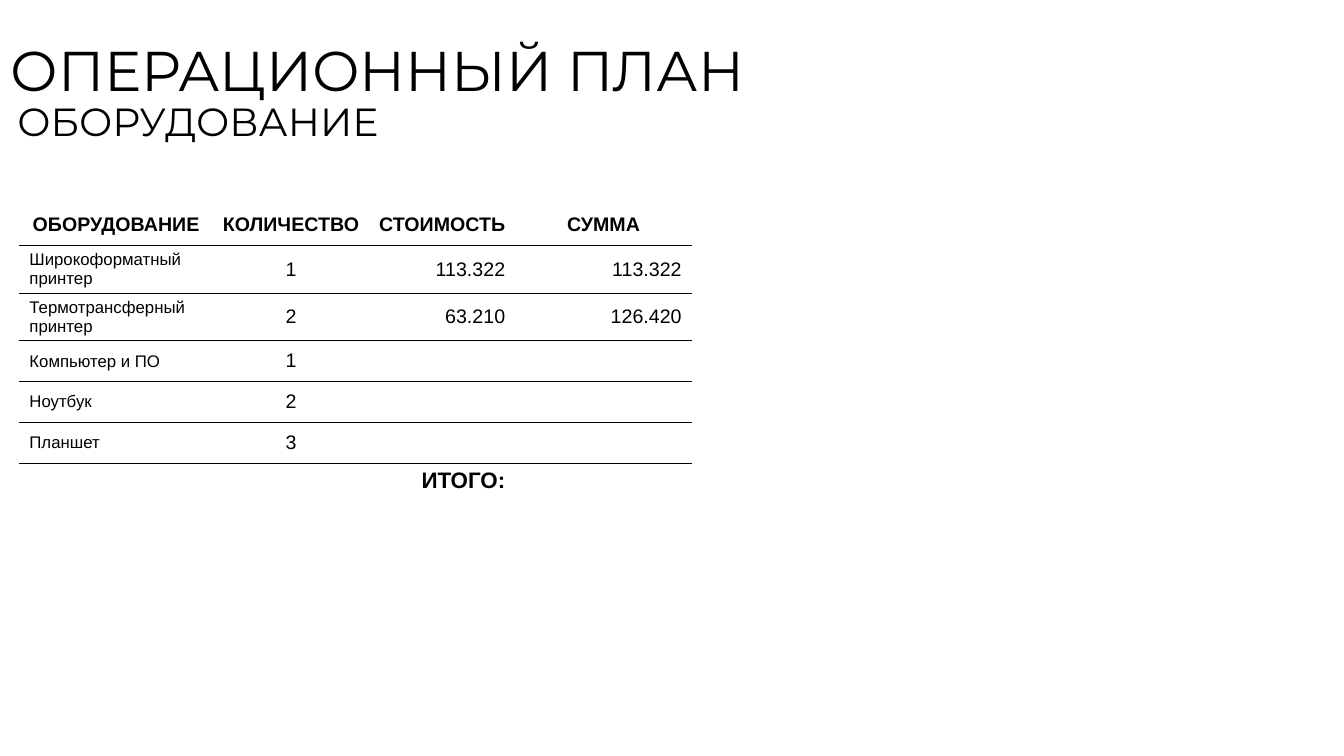
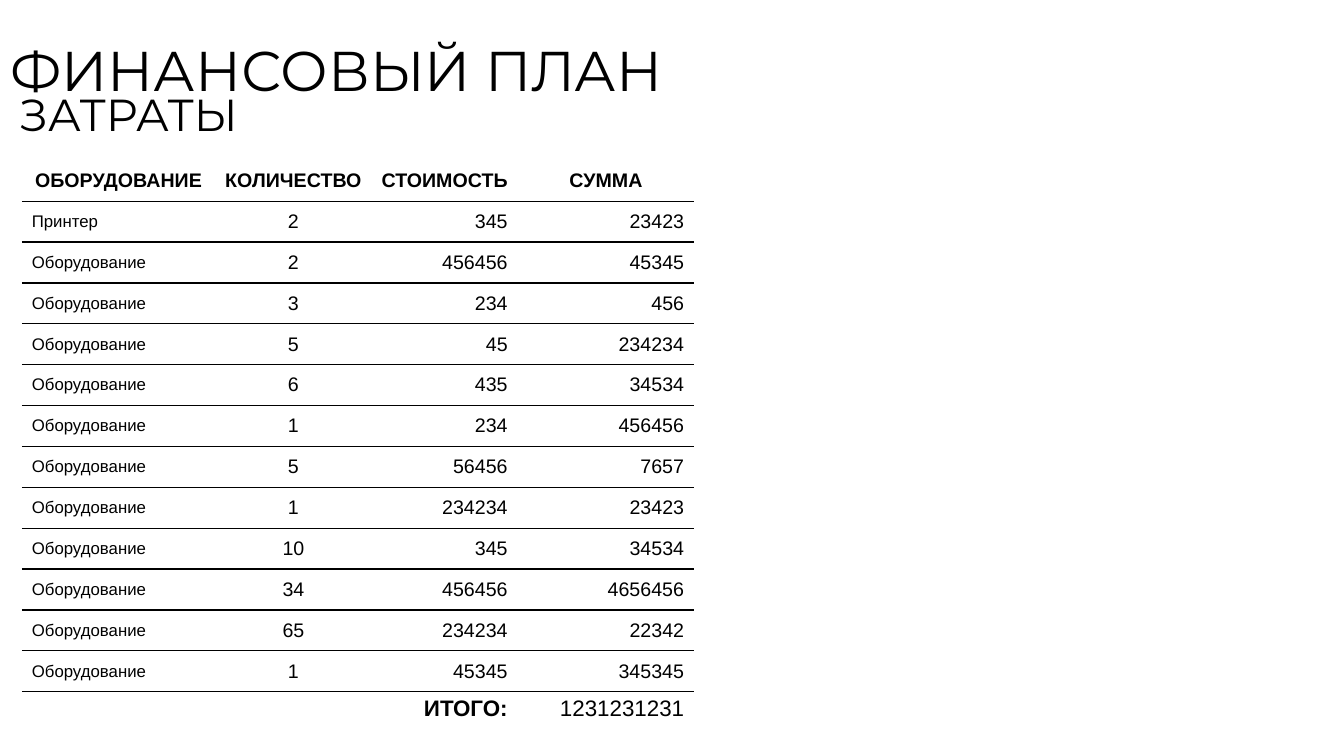
import lxml.etree
import pptx
import pptx.dml.color
import pptx.enum.text
import pptx.oxml.ns
import pptx.util

ALIGN = pptx.enum.text.PP_ALIGN
ANCHOR = pptx.enum.text.MSO_ANCHOR
NO_STYLE = "{2D5ABB26-0587-4C30-8999-92F81FD0307C}"

# Content
HEADERS = ["ОБОРУДОВАНИЕ", "КОЛИЧЕСТВО", "СТОИМОСТЬ", "СУММА"]
EQUIPMENT = [
    ["Широкоформатный принтер", "1", "113.322", "113.322"],
    ["Термотрансферный принтер", "2", "63.210", "126.420"],
    ["Компьютер и ПО", "1", "", ""],
    ["Ноутбук", "2", "", ""],
    ["Планшет", "3", "", ""],
]
COSTS = [["Принтер", "2", "345", "23423"]] + [
    ["Оборудование", *numbers.split()]
    for numbers in (
        "2 456456 45345", "3 234 456", "5 45 234234", "6 435 34534",
        "1 234 456456", "5 56456 7657", "1 234234 23423", "10 345 34534",
        "34 456456 4656456", "65 234234 22342", "1 45345 345345",
    )
]


def color(value):
    return pptx.dml.color.RGBColor.from_string(value)


class Deck:
    """Style and current slide; lengths are percent of the slide's size."""

    INK = "000000"
    PAPER = "FFFFFF"
    TITLE_FONT = "Montserrat"
    TABLE_FONT = "Arial"
    COLUMN_WIDTHS = [14.4, 11.63, 10.88, 13.13]
    ROW_HEIGHT = 5.41
    HEADER_SIDE_MARGIN = 0.38
    BODY_EDGE_MARGIN = 0.48
    COLUMN_ALIGN = [ALIGN.LEFT, ALIGN.CENTER, ALIGN.RIGHT, ALIGN.RIGHT]
    COLUMN_SIZES = [12, 14, 14, 14]

    def __init__(self):
        self.presentation = pptx.Presentation()
        self.presentation.slide_width = pptx.util.Inches(40 / 3)
        self.presentation.slide_height = pptx.util.Inches(7.5)
        self.slide = None

    def x(self, percent):
        return round(self.presentation.slide_width * percent / 100)

    def y(self, percent):
        return round(self.presentation.slide_height * percent / 100)

    def new_slide(self, title):
        self.slide = self.presentation.slides.add_slide(
            self.presentation.slide_layouts[6])
        background = self.slide.background.fill
        background.solid()
        background.fore_color.rgb = color(self.PAPER)
        self.heading(title, 0.04, 4.27, 99.96, 10.8, 40)

    def format(self, paragraph, font, size, bold=False, align=ALIGN.LEFT):
        paragraph.alignment = align
        for run in paragraph.runs:
            run.font.name = font
            run.font.size = pptx.util.Pt(size)
            run.font.bold = bold
            run.font.color.rgb = color(self.INK)

    def heading(self, text, left, top, width, height, size):
        box = self.slide.shapes.add_textbox(
            self.x(left), self.y(top), self.x(width), self.y(height))
        frame = box.text_frame
        frame.word_wrap = True
        frame.vertical_anchor = ANCHOR.MIDDLE
        frame.text = text
        frame.paragraphs[0].line_spacing = 0.9
        self.format(frame.paragraphs[0], self.TITLE_FONT, size)

    def bottom_border(self, cell):
        line = lxml.etree.Element(
            pptx.oxml.ns.qn("a:lnB"), w=str(pptx.util.Pt(1)))
        fill = lxml.etree.SubElement(line, pptx.oxml.ns.qn("a:solidFill"))
        lxml.etree.SubElement(
            fill, pptx.oxml.ns.qn("a:srgbClr"), val=self.INK)
        cell._tc.get_or_add_tcPr().insert(0, line)

    def table(self, items, total, left, top):
        rows = [HEADERS, *items, ["", "", "ИТОГО:", total]]
        last = len(rows) - 1
        frame = self.slide.shapes.add_table(
            len(rows), len(HEADERS), self.x(left), self.y(top),
            self.x(sum(self.COLUMN_WIDTHS)),
            self.y(self.ROW_HEIGHT * len(rows)))
        table = frame.table
        table.first_row = table.horz_banding = False
        style = next(table._tbl.iter(pptx.oxml.ns.qn("a:tableStyleId")))
        style.text = NO_STYLE
        for column, width in zip(table.columns, self.COLUMN_WIDTHS):
            column.width = self.x(width)
        for row_index, values in enumerate(rows):
            table.rows[row_index].height = self.y(self.ROW_HEIGHT)
            for column_index, value in enumerate(values):
                cell = table.cell(row_index, column_index)
                size = self.COLUMN_SIZES[column_index]
                align = self.COLUMN_ALIGN[column_index]
                bold = False
                if row_index == 0:
                    size, align, bold = 14, ALIGN.CENTER, True
                    cell.margin_left = cell.margin_right = self.x(
                        self.HEADER_SIDE_MARGIN)
                elif row_index == last:
                    size, bold = 16, column_index == 2
                else:
                    cell.margin_top = cell.margin_bottom = self.y(
                        self.BODY_EDGE_MARGIN)
                cell.text_frame.text = value
                cell.vertical_anchor = (
                    ANCHOR.TOP if row_index == last else ANCHOR.MIDDLE)
                self.format(cell.text_frame.paragraphs[0],
                            self.TABLE_FONT, size, bold, align)
                cell.fill.background()
                if row_index < last:
                    self.bottom_border(cell)


def main():
    deck = Deck()

    # Operating plan: equipment
    deck.new_slide("ОПЕРАЦИОННЫЙ ПЛАН")
    deck.heading("ОБОРУДОВАНИЕ", 0.56, 11.87, 99.3, 9.07, 28)
    deck.table(EQUIPMENT, "", 1.44, 27.07)

    # Financial plan: costs
    deck.new_slide("ФИНАНСОВЫЙ ПЛАН")
    deck.heading("ЗАТРАТЫ", 0.7, 11.87, 99.3, 7.33, 32)
    deck.table(COSTS, "1231231231", 1.62, 21.2)

    deck.presentation.save("out.pptx")


if __name__ == "__main__":
    main()
